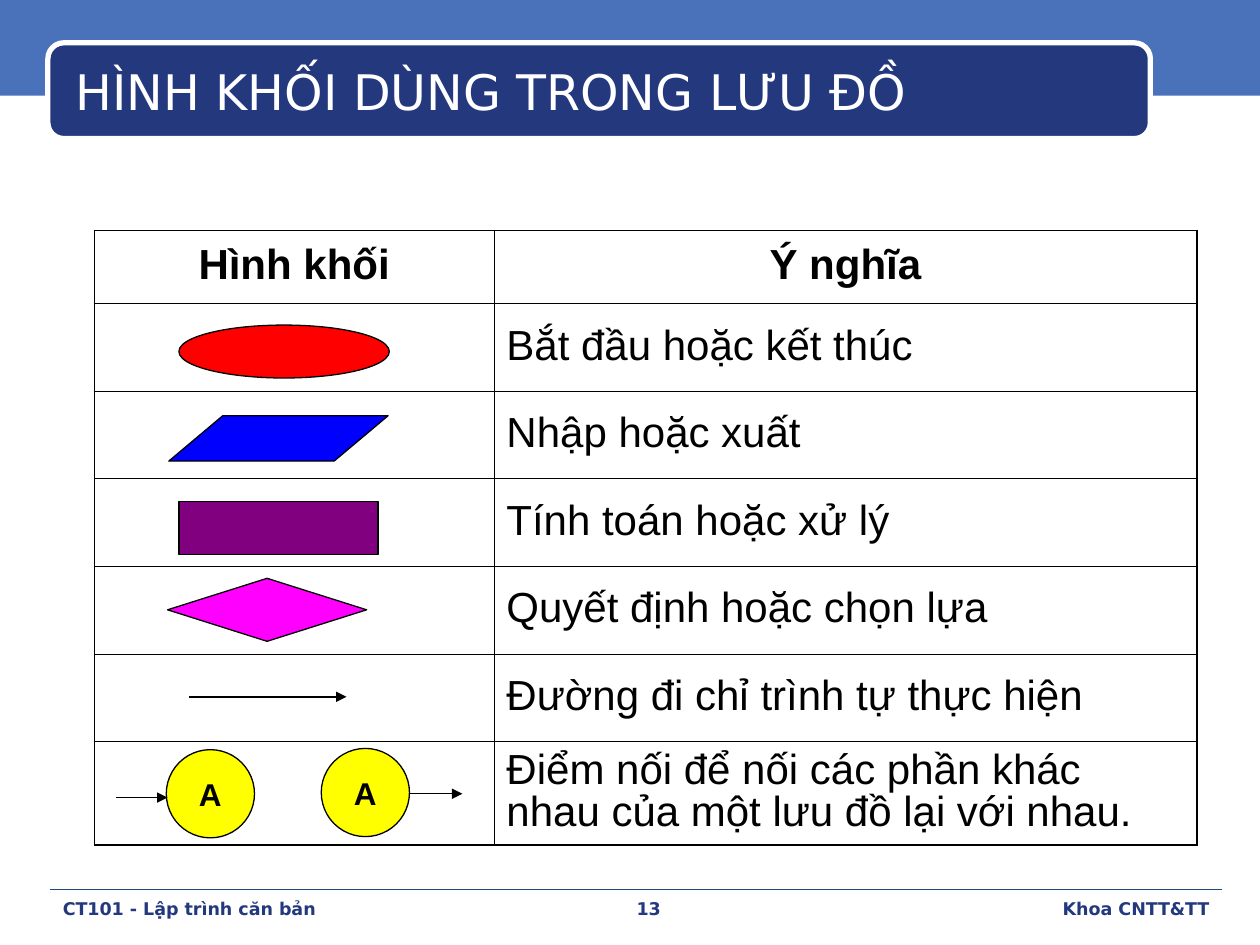
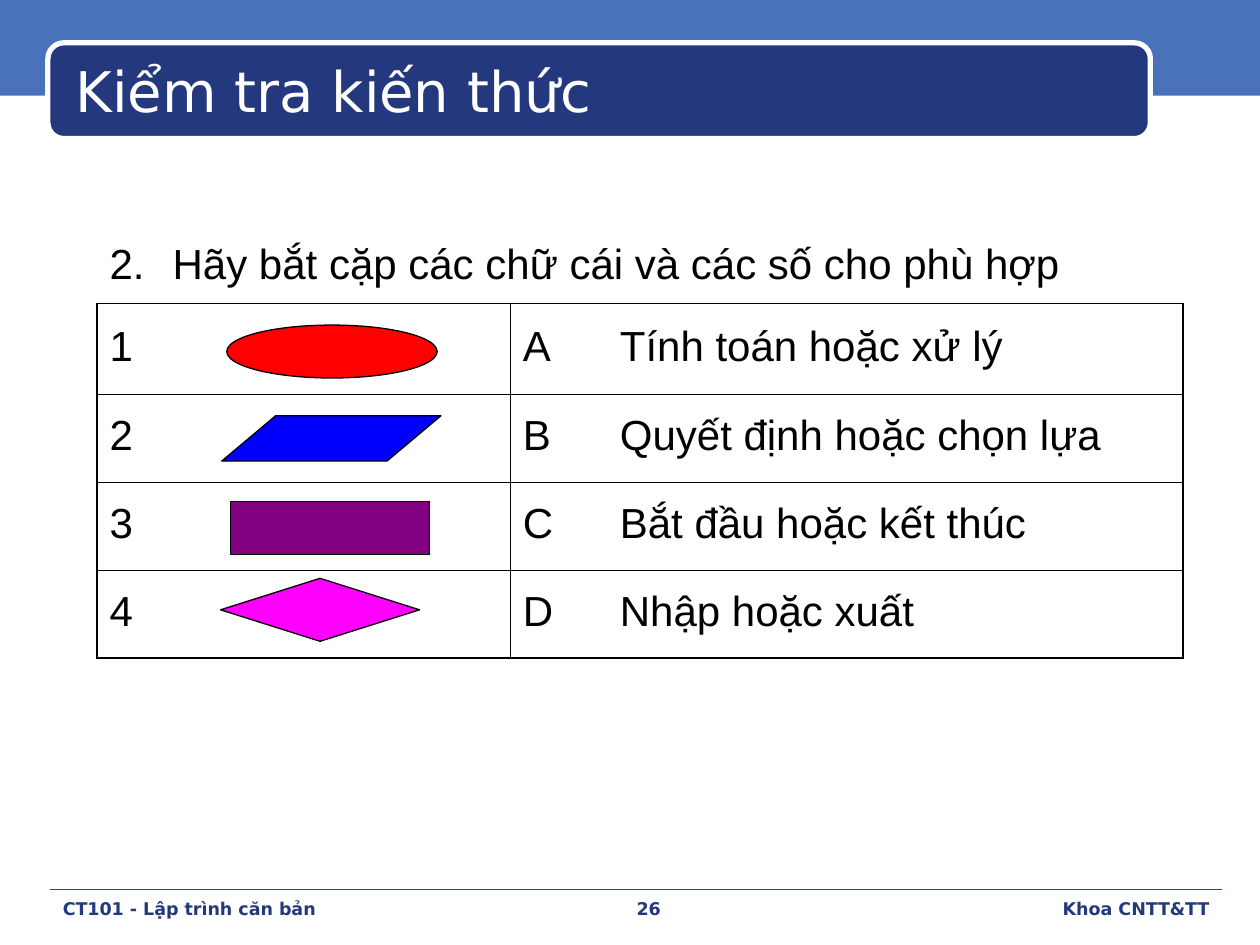
"""Build two lecture slides about flowchart symbols."""
from lxml.etree import SubElement
from pptx import Presentation
from pptx.dml.color import RGBColor
from pptx.enum.shapes import MSO_CONNECTOR, MSO_SHAPE
from pptx.enum.text import MSO_ANCHOR, PP_ALIGN
from pptx.oxml.ns import qn
from pptx.util import Inches, Pt

BLACK = RGBColor(0x00, 0x00, 0x00)
WHITE = RGBColor(0xFF, 0xFF, 0xFF)
BAND_BLUE = RGBColor(0x49, 0x72, 0xBB)
NAVY = RGBColor(0x23, 0x38, 0x7D)
RULE_BLUE = RGBColor(0x1F, 0x49, 0x7D)
RED = RGBColor(0xFF, 0x00, 0x00)
BLUE = RGBColor(0x00, 0x00, 0xFF)
PURPLE = RGBColor(0x80, 0x00, 0x80)
MAGENTA = RGBColor(0xFF, 0x00, 0xFF)
YELLOW = RGBColor(0xFF, 0xFF, 0x00)

COLUMNS, ROWS = 100, 75
TITLE_ONLY = 5
HEADING_FONT, BODY_FONT = "DejaVu Sans", "Arial"
OUTER, INNER = 1.08, 0.45

SYMBOLS = (
    (MSO_SHAPE.OVAL, RED, 25.8, 16.7, 4.2),
    (MSO_SHAPE.PARALLELOGRAM, BLUE, 33, 17.4, 3.6),
    (MSO_SHAPE.RECTANGLE, PURPLE, 39.8, 15.8, 4.2),
    (MSO_SHAPE.DIAMOND, MAGENTA, 45.9, 15.8, 5),
)
MEANINGS = (
    "Bắt đầu hoặc kết thúc",
    "Nhập hoặc xuất",
    "Tính toán hoặc xử lý",
    "Quyết định hoặc chọn lựa",
)


class Deck:
    """Hold the lecture style and draw elements on the current slide."""

    def __init__(self):
        """Start an empty presentation with its grid."""
        self.presentation = Presentation()
        self.presentation.slide_width = Inches(10)
        self.presentation.slide_height = Inches(7.5)
        self.slide = None

    def across(self, columns):
        """Convert grid columns to a length."""
        return round(self.presentation.slide_width * columns / COLUMNS)

    def down(self, rows):
        """Convert grid rows to a length."""
        return round(self.presentation.slide_height * rows / ROWS)

    def box(self, left, top, width, height):
        """Convert a grid box to lengths."""
        return self.across(left), self.down(top), self.across(width), self.down(height)

    def style(self, paragraph, size, font=BODY_FONT, color=BLACK, bold=False):
        """Format every run of a paragraph."""
        for run in paragraph.runs:
            run.font.name, run.font.size = font, Pt(size)
            run.font.bold, run.font.color.rgb = bold, color

    def add_slide(self, title, size, number):
        """Add a slide with band, footer and title."""
        layout = self.presentation.slide_layouts[TITLE_ONLY]
        self.slide = self.presentation.slides.add_slide(layout)
        self.shape(MSO_SHAPE.RECTANGLE, (0, 0, 100, 7.6), BAND_BLUE, None)
        self.shape(MSO_SHAPE.ROUNDED_RECTANGLE, (3.8, 3.4, 87.5, 7.6), NAVY, WHITE, 3)
        self.line((4, 70.6), (97, 70.6), 0.25, RULE_BLUE)
        self.footer(number)
        self.title(title, size)

    def title(self, text, size):
        """Place the title above the band."""
        title = self.slide.shapes.title
        title.element.getparent().append(title.element)
        title.left, title.top, title.width, title.height = self.box(5, 4, 87, 7)
        title.text_frame.text = text
        title.text_frame.vertical_anchor = MSO_ANCHOR.MIDDLE
        paragraph = title.text_frame.paragraphs[0]
        paragraph.alignment, paragraph.line_spacing = PP_ALIGN.LEFT, 0.9
        self.style(paragraph, size, HEADING_FONT, WHITE)

    def footer(self, number):
        """Write course, page number and faculty on tab stops."""
        text_frame = self.slide.shapes.add_textbox(*self.box(4, 70.8, 93, 2.8)).text_frame
        text_frame.word_wrap = True
        paragraph = text_frame.paragraphs[0]
        tabs = SubElement(paragraph._p.get_or_add_pPr(), qn("a:tabLst"))
        for column, alignment in ((46.5, "ctr"), (91, "r")):
            SubElement(tabs, qn("a:tab"), pos=str(self.across(column)), algn=alignment)
        paragraph.text = f"CT101 - Lập trình căn bản\t{number}\tKhoa CNTT&TT"
        self.style(paragraph, 10, HEADING_FONT, NAVY, True)

    def shape(self, kind, place, fill, line=BLACK, weight=0.75):
        """Draw a filled preset shape."""
        shape = self.slide.shapes.add_shape(kind, *self.box(*place))
        shape.shadow.inherit = False
        shape.fill.solid()
        shape.fill.fore_color.rgb = fill
        if line is None:
            shape.line.fill.background()
        else:
            shape.line.color.rgb, shape.line.width = line, Pt(weight)
        return shape

    def line(self, start, end, weight, color=BLACK, arrow=False):
        """Draw a straight line, with an arrowhead on request."""
        connector = self.slide.shapes.add_connector(
            MSO_CONNECTOR.STRAIGHT,
            self.across(start[0]), self.down(start[1]),
            self.across(end[0]), self.down(end[1]))
        connector.line.color.rgb, connector.line.width = color, Pt(weight)
        properties = connector.element.spPr
        if arrow:
            SubElement(properties.find(qn("a:ln")), qn("a:tailEnd"), type="triangle")
        SubElement(properties, qn("a:effectLst"))

    def symbols(self, lefts):
        """Draw the four flowchart symbols at the given columns."""
        for left, (kind, fill, top, width, height) in zip(lefts, SYMBOLS):
            shape = self.shape(kind, (left, top, width, height), fill)
            if kind == MSO_SHAPE.PARALLELOGRAM:
                shape.adjustments[0] = 1.19

    def joint(self, left, top):
        """Draw a lettered connection point."""
        circle = self.shape(MSO_SHAPE.OVAL, (left, top, 7, 7), YELLOW)
        circle.text_frame.text = "A"
        circle.text_frame.word_wrap = False
        circle.text_frame.vertical_anchor = MSO_ANCHOR.MIDDLE
        paragraph = circle.text_frame.paragraphs[0]
        paragraph.alignment = PP_ALIGN.CENTER
        self.style(paragraph, 18, bold=True)

    def borders(self, cell, weights):
        """Set left, right, top and bottom borders; None hides one."""
        properties = cell._tc.get_or_add_tcPr()
        for index, (side, weight) in enumerate(zip("LRTB", weights)):
            border = properties.makeelement(qn(f"a:ln{side}"))
            properties.insert(index, border)
            if weight is None:
                SubElement(border, qn("a:noFill"))
            else:
                border.set("w", str(Pt(weight)))
                fill = SubElement(border, qn("a:solidFill"))
                SubElement(fill, qn("a:srgbClr"), val=str(BLACK))

    def table(self, left, top, widths, heights, texts, dividers, framed_header=True):
        """Draw a ruled table, with vertical rules after the divider columns."""
        place = self.box(left, top, sum(widths), sum(heights))
        table = self.slide.shapes.add_table(len(heights), len(widths), *place).table
        table.first_row = table.horz_banding = False
        for column, width in zip(table.columns, widths):
            column.width = self.across(width)
        for row, height in zip(table.rows, heights):
            row.height = self.down(height)
        last_row, last_column = len(heights) - 1, len(widths) - 1
        for r, row_texts in enumerate(texts):
            framed = framed_header or r > 0
            for c, text in enumerate(row_texts):
                cell = table.cell(r, c)
                cell.vertical_anchor = MSO_ANCHOR.MIDDLE
                cell.fill.background()
                sides = (
                    OUTER if c == 0 else INNER if c - 1 in dividers else None,
                    OUTER if c == last_column else INNER if c in dividers else None,
                    OUTER if r == 0 else INNER,
                    OUTER if r == last_row else INNER)
                self.borders(cell, sides if framed else (None, None, None, INNER))
                cell.text_frame.text = text
                paragraph = cell.text_frame.paragraphs[0]
                paragraph.line_spacing = 0.9
                self.style(paragraph, 24)
        return table

    def number(self, paragraph, start):
        """Turn a paragraph into a numbered item."""
        properties = paragraph._p.get_or_add_pPr()
        properties.set("marL", str(self.across(5)))
        properties.set("indent", str(-self.across(5)))
        SubElement(properties, qn("a:buFont"), typeface=BODY_FONT)
        SubElement(properties, qn("a:buAutoNum"), type="arabicPeriod", startAt=str(start))


def add_symbol_slide(deck):
    """Explain each flowchart symbol."""
    deck.add_slide("HÌNH KHỐI DÙNG TRONG LƯU ĐỒ", 28, 13)
    meanings = MEANINGS + (
        "Đường đi chỉ trình tự thực hiện",
        "Ðiểm nối để nối các phần khác nhau của một lưu đồ lại với nhau.")
    texts = [("Hình khối", "Ý nghĩa")] + [("", meaning) for meaning in meanings]
    heights = (5.8,) + (6.95,) * 5 + (8.2,)
    table = deck.table(7.5, 18.3, (31.7, 55.8), heights, texts, {0})
    for cell in table.rows[0].cells:
        paragraph = cell.text_frame.paragraphs[0]
        paragraph.alignment = PP_ALIGN.CENTER
        deck.style(paragraph, 24, bold=True)
    deck.symbols((14.2, 13.4, 14.2, 13.3))
    deck.line((15, 55.3), (27.5, 55.3), 1.25, arrow=True)
    deck.joint(13.2, 59.5)
    deck.line((9.2, 63.3), (13.3, 63.3), 0.75, arrow=True)
    deck.joint(25.5, 59.4)
    deck.line((32.5, 63), (36.7, 63), 0.75, arrow=True)


def add_quiz_slide(deck):
    """Ask to match symbols with meanings."""
    deck.add_slide("Kiểm tra kiến thức", 32, 26)
    answers = [MEANINGS[index] for index in (2, 3, 0, 1)]
    texts = [("Hãy bắt cặp các chữ cái và các số cho phù hợp", "", "", "")]
    texts += [(str(row), "", letter, answer)
              for row, (letter, answer) in enumerate(zip("ABCD", answers), 1)]
    heights = (5.8, 7.2) + (6.97,) * 3
    table = deck.table(7.7, 18.3, (5, 27.8, 7.7, 45.7), heights, texts, {1}, False)
    table.cell(0, 0).merge(table.cell(0, 3))
    deck.number(table.cell(0, 0).text_frame.paragraphs[0], 2)
    deck.symbols((18, 17.6, 18.3, 17.5))


def main():
    """Build and save the presentation."""
    deck = Deck()
    add_symbol_slide(deck)
    add_quiz_slide(deck)
    deck.presentation.save("out.pptx")


if __name__ == "__main__":
    main()
